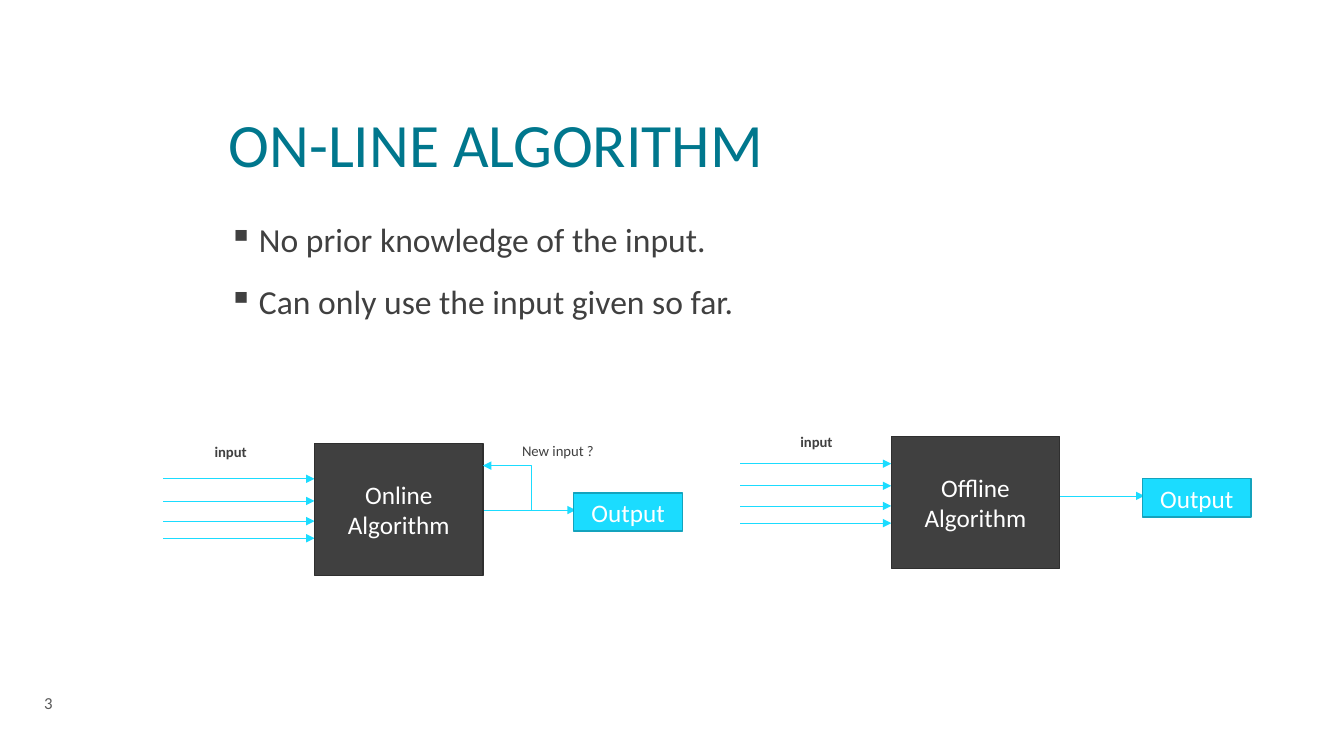
from dataclasses import dataclass

from lxml import etree
from pptx import Presentation
from pptx.dml.color import RGBColor
from pptx.enum.shapes import MSO_CONNECTOR, MSO_SHAPE
from pptx.enum.text import MSO_ANCHOR, PP_ALIGN
from pptx.oxml.ns import qn
from pptx.util import Inches, Pt

STRAIGHT, ELBOW = MSO_CONNECTOR.STRAIGHT, MSO_CONNECTOR.ELBOW
RECTANGLE = MSO_SHAPE.RECTANGLE
TOP, MIDDLE, BOTTOM = MSO_ANCHOR.TOP, MSO_ANCHOR.MIDDLE, MSO_ANCHOR.BOTTOM
CENTER = PP_ALIGN.CENTER


@dataclass(frozen=True)
class Theme:
    font: str = "Calibri"
    teal: str = "00778D"
    dark: str = "404040"
    dark_edge: str = "2F2F2F"
    cyan: str = "1BDCFF"
    cyan_edge: str = "14A3BD"
    gray: str = "595959"
    white: str = "FFFFFF"
    title_size: float = 44
    body_size: float = 24
    box_size: float = 18
    number_size: float = 12
    label_size: float = 10.5


theme = Theme()
deck = Presentation()
deck.slide_width, deck.slide_height = Inches(13.33), Inches(7.5)
page = deck.slides.add_slide(deck.slide_layouts[6])


def add_text(place, text, size, color, anchor=TOP, bold=False, fill=None, edge=None):
    """Add a text box, or a filled and centred rectangle when fill is given."""
    area = [Inches(length) for length in place]
    if fill:
        box = page.shapes.add_shape(RECTANGLE, *area)
        box.shadow.inherit = False
        box.fill.solid()
        box.fill.fore_color.rgb = RGBColor.from_string(fill)
        box.line.color.rgb = RGBColor.from_string(edge)
        box.line.width = Pt(1)
    else:
        box = page.shapes.add_textbox(*area)
    frame = box.text_frame
    frame.word_wrap = True
    frame.vertical_anchor = anchor
    frame.text = text
    for para in frame.paragraphs:
        para.font.name = theme.font
        para.font.size = Pt(size)
        para.font.bold = bold
        para.font.color.rgb = RGBColor.from_string(color)
        if fill:
            para.alignment = CENTER
    return frame


def add_arrow(start, end, kind=STRAIGHT):
    ends = [Inches(length) for length in (*start, *end)]
    arrow = page.shapes.add_connector(kind, *ends)
    arrow.line.color.rgb = RGBColor.from_string(theme.cyan)
    arrow.line.width = Pt(0.5)
    etree.SubElement(arrow.line._get_or_add_ln(), qn("a:tailEnd"), type="triangle")
    etree.SubElement(arrow._element.spPr, qn("a:effectLst"))
    return arrow


# Title and bullets
title = add_text((2.17, 0.42, 10.25, 1.42), "ON-LINE ALGORITHM",
                 theme.title_size, theme.teal, BOTTOM)
title.paragraphs[0].line_spacing = 0.85

points = ["No prior knowledge of the input.", "Can only use the input given so far."]
body = add_text((2.17, 2.17, 10.25, 4.9), "\n".join(points), theme.body_size, theme.dark)
for index, para in enumerate(body.paragraphs):
    properties = para._p.get_or_add_pPr()
    properties.set("marL", str(Inches(0.3)))
    properties.set("indent", str(-Inches(0.3)))
    bullet = etree.Element(qn("a:buChar"), char="▪")
    properties.find(qn("a:defRPr")).addprevious(bullet)
    para.line_spacing = 0.9
    if index:
        para.space_before = Pt(18)

# Diagrams: name, algorithm box corner, output box corner, input label corner
diagrams = [
    ("Online", (3.12, 4.4), (5.69, 4.89), (2.03, 4.34)),
    ("Offline", (8.84, 4.33), (11.33, 4.75), (7.84, 4.24)),
]
for name, (left, top), (output_left, output_top), label_corner in diagrams:
    for drop in (0.35, 0.57, 0.77, 0.94):
        shift = 0.08 if name == "Offline" else 0
        height = top + drop - shift
        add_arrow((left - 1.5, height), (left, height))
    output_middle = output_top + 0.17
    add_arrow((output_left - 0.9, output_middle), (output_left + 0.02, output_middle))
    add_text((output_left, output_top, 1.08, 0.38), "Output", theme.box_size,
             theme.white, MIDDLE, fill=theme.cyan, edge=theme.cyan_edge)
    add_text((left, top, 1.67, 1.31), f"{name} Algorithm", theme.box_size,
             theme.white, MIDDLE, fill=theme.dark, edge=theme.dark_edge)
    add_text((*label_corner, 0.94, 0.28), "input", theme.label_size, theme.dark, bold=True)

# Feedback into the online algorithm
feedback = add_arrow((5.3, 5.06), (4.79, 4.62), ELBOW)
geometry = feedback._element.spPr.find(qn("a:prstGeom"))
bends = geometry.find(qn("a:avLst"))
etree.SubElement(bends, qn("a:gd"), name="adj1", fmla="val 5600")
add_text((5.08, 4.33, 0.94, 0.28), "New input ?", theme.label_size, theme.dark)

add_text((0.34, 6.86, 0.79, 0.22), "3", theme.number_size, theme.gray, MIDDLE)

deck.save("out.pptx")
